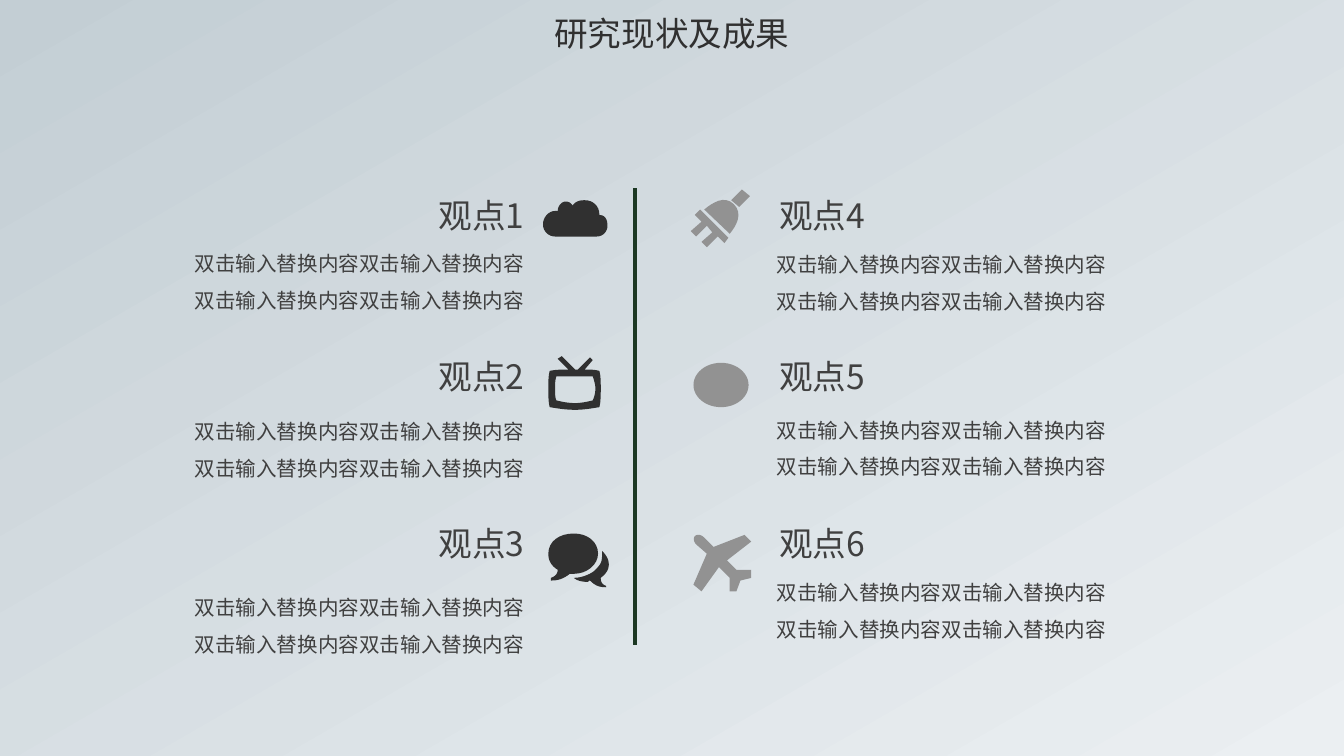
from dataclasses import dataclass

import lxml.etree
import pptx
import pptx.dml.color
import pptx.enum.shapes
import pptx.enum.text
import pptx.oxml.ns
import pptx.util

CELL = pptx.util.Inches(0.1)
COLUMNS, ROWS = 100, 56.25
ICON_CELL = CELL / 10
FINENESS = 100
CURVE_STEPS = 8
HEADING_CENTRES = (16, 28, 40.4)
ALIGN = pptx.enum.text.PP_ALIGN
ANCHOR = pptx.enum.text.MSO_ANCHOR
SHAPE = pptx.enum.shapes.MSO_SHAPE


@dataclass(frozen=True)
class Theme:
    """Colours, font and type sizes of the slide."""
    font: str = "Noto Sans CJK SC"
    backdrop: tuple = ("C3CED4", "EBEFF2")
    dark: str = "303030"
    grey: str = "929292"
    body: str = "404040"
    divider: str = "1C3823"
    heading_size: int = 18
    body_size: int = 11
    divider_width: int = 2


@dataclass(frozen=True)
class Side:
    """Columns and style shared by the viewpoints on one side of the divider."""
    heading: tuple
    body: tuple
    icon_column: float
    alignment: int
    icon_color: str


THEME = Theme()
LEFT = Side((24.5, 15.5), (13.9, 26.1), 40.4, ALIGN.RIGHT, THEME.dark)
RIGHT = Side((57, 13.2), (57.8, 25.9), 51.4, ALIGN.LEFT, THEME.grey)

CLOUD = [[(48, 28), (48, 23, 46, 20, 42, 20), (42, 13, 37, 9, 31, 9), (27, 9, 24, 10, 22, 13),
          (21, 11, 19, 10, 17, 10), (14, 10, 11, 13, 11, 17), (10, 17, 10, 17, 9, 17),
          (4, 17, 0, 22, 0, 27), (0, 32, 4, 36, 9, 36), (40, 36), (45, 36, 48, 32, 48, 28)]]
TELEVISION = [
    [(42, 16), (38, 15, 35, 15, 31, 15), (37, 8), (35, 6), (26, 15), (24, 15), (14, 5), (11, 7),
     (19, 15), (14, 15, 10, 15, 5, 16), (4, 20, 4, 24, 4, 29), (4, 34, 4, 39, 5, 43),
     (11, 44, 17, 45, 24, 45), (30, 45, 36, 44, 42, 43), (43, 39, 43, 34, 43, 29),
     (43, 24, 43, 20, 42, 16)],
    [(37, 38), (33, 39, 28, 40, 24, 40), (19, 40, 14, 39, 10, 38), (9, 36, 9, 33, 9, 29),
     (9, 26, 9, 23, 10, 20), (37, 20), (38, 23, 39, 26, 39, 29), (39, 33, 38, 36, 37, 38)]]
SPEECH = [
    [(23, 13), (33, 13, 41, 19, 41, 28), (41, 36, 33, 43, 23, 43), (20, 43),
     (15, 47, 11, 48, 6, 48), (6, 46), (9, 45, 11, 43, 11, 40), (6, 37, 4, 33, 4, 28),
     (4, 19, 12, 13, 23, 13)],
    [(43, 46), (43, 49, 44, 51, 47, 52), (47, 53), (42, 53, 39, 52, 35, 48),
     (34, 48, 34, 49, 33, 49), (29, 49, 25, 48, 23, 46), (28, 46, 34, 44, 38, 41),
     (40, 39, 42, 37, 43, 35), (44, 33, 44, 30, 44, 28), (44, 26),
     (47, 29, 49, 32, 49, 36), (49, 40, 47, 43, 43, 46)]]
PLUG = [
    [(0, 32), (4, 36), (12, 28), (16, 33), (8, 40), (12, 44), (20, 36), (25, 41), (28, 37),
     (7, 16), (3, 20), (8, 25)],
    [(32, 12), (25, 5, 16, 11, 10, 16), (29, 34), (34, 28, 39, 19, 32, 12)],
    [(36, 14), (30, 9), (38, 1), (44, 6)]]
OVAL = (0.2, 1, 4.1, 3.3)
PLANE = [[(34, 40), (27, 33), (45, 19), (40, 14), (17, 23), (10, 16), (8, 14, 5, 13, 3, 15),
          (2, 16, 2, 19, 4, 21), (12, 28), (2, 51), (8, 56), (21, 38), (29, 46), (29, 56),
          (34, 56), (37, 48), (45, 46), (45, 40)]]

VIEWPOINTS = [(LEFT, ((CLOUD, 4.5), (TELEVISION, 5), (SPEECH, 5.7))),
              (RIGHT, ((PLUG, 4.6), (OVAL, 4.9), (PLANE, 4.6)))]


def cells(*lengths):
    """Turn grid cells into slide lengths."""
    return [round(length * CELL) for length in lengths]


def color(value):
    """Return an RGB colour for a hex value."""
    return pptx.dml.color.RGBColor.from_string(value)


def add_text(slide, box, text, size, ink, alignment, anchor=ANCHOR.MIDDLE,
             insets=(1, 0.5, 1, 0.5), line_spacing=None):
    """Add a one-paragraph text box to a box of grid cells."""
    frame = slide.shapes.add_textbox(*cells(*box)).text_frame
    frame.word_wrap = True
    frame.vertical_anchor = anchor
    frame.margin_left, frame.margin_top, frame.margin_right, frame.margin_bottom = cells(*insets)
    frame.text = text
    paragraph = frame.paragraphs[0]
    paragraph.alignment = alignment
    paragraph.line_spacing = line_spacing
    font = paragraph.runs[0].font
    font.name = THEME.font
    font.size = pptx.util.Pt(size)
    font.color.rgb = color(ink)
    properties = paragraph.runs[0]._r.get_or_add_rPr()
    lxml.etree.SubElement(properties, pptx.oxml.ns.qn("a:ea"), typeface=THEME.font)


def flatten(contour):
    """Turn points and cubic curves into a list of finely scaled points."""
    points = [contour[0]]
    for segment in contour[1:]:
        if len(segment) == 2:
            points.append(segment)
            continue
        controls = (points[-1], segment[:2], segment[2:4], segment[4:])
        for step in range(1, CURVE_STEPS + 1):
            t = step / CURVE_STEPS
            weights = ((1 - t) ** 3, 3 * t * (1 - t) ** 2, 3 * t ** 2 * (1 - t), t ** 3)
            points.append(tuple(sum(weight * control[axis] for weight, control
                                    in zip(weights, controls)) for axis in (0, 1)))
    return [(x * FINENESS, y * FINENESS) for x, y in points]


def add_icon(slide, left, top, icon, ink):
    """Draw an icon from its contours, or an oval from its box."""
    if icon is OVAL:
        x, y, width, height = icon
        shape = slide.shapes.add_shape(SHAPE.OVAL, *cells(left + x, top + y, width, height))
    else:
        first, *others = [flatten(contour) for contour in icon]
        builder = slide.shapes.build_freeform(*first[0], scale=ICON_CELL / FINENESS)
        builder.add_line_segments(first[1:], close=True)
        for outline in others:
            builder.move_to(*outline[0])
            builder.add_line_segments(outline[1:], close=True)
        shape = builder.convert_to_shape(*cells(left, top))
    shape.shadow.inherit = False
    shape.fill.solid()
    shape.fill.fore_color.rgb = color(ink)
    shape.line.fill.background()


def add_viewpoint(slide, side, centre, number, icon, drop):
    """Place heading, body and icon around the heading's centre row."""
    left, width = side.heading
    add_text(slide, (left, centre - 1.2, width, 2.4), f"观点{number}",
             THEME.heading_size, THEME.body, side.alignment)
    left, width = side.body
    add_text(slide, (left, centre + drop - 4.5, width, 9), "双击输入替换内容" * 4,
             THEME.body_size, THEME.body, side.alignment,
             insets=(0, 0.5, 1, 0.5), line_spacing=1.5)
    add_icon(slide, side.icon_column, centre - 2, icon, side.icon_color)


def add_divider(slide, column, top, bottom):
    """Draw the vertical line between the two sides."""
    line = slide.shapes.add_connector(pptx.enum.shapes.MSO_CONNECTOR.STRAIGHT,
                                      *cells(column, top, column, bottom))
    line.line.color.rgb = color(THEME.divider)
    line.line.width = pptx.util.Pt(THEME.divider_width)
    lxml.etree.SubElement(line._element.spPr, pptx.oxml.ns.qn("a:effectLst"))


def add_backdrop(slide):
    """Fill the background with the slanted gradient."""
    fill = slide.background.fill
    fill.gradient()
    fill.gradient_angle = 300
    for stop, value in zip(fill.gradient_stops, THEME.backdrop):
        stop.color.rgb = color(value)


def main():
    """Build and save the slide."""
    presentation = pptx.Presentation()
    presentation.slide_width, presentation.slide_height = cells(COLUMNS, ROWS)
    slide = presentation.slides.add_slide(presentation.slide_layouts[6])
    add_backdrop(slide)
    add_text(slide, (36.95, 0.6, 26.1, 3.8), "研究现状及成果", THEME.heading_size, THEME.dark,
             ALIGN.CENTER, ANCHOR.TOP, (0.7, 0.4, 0.7, 0.4))
    add_divider(slide, 47.24, 14, 48)
    number = 0
    for side, entries in VIEWPOINTS:
        for centre, (icon, drop) in zip(HEADING_CENTRES, entries):
            number += 1
            add_viewpoint(slide, side, centre, number, icon, drop)
    presentation.save("out.pptx")


if __name__ == "__main__":
    main()
